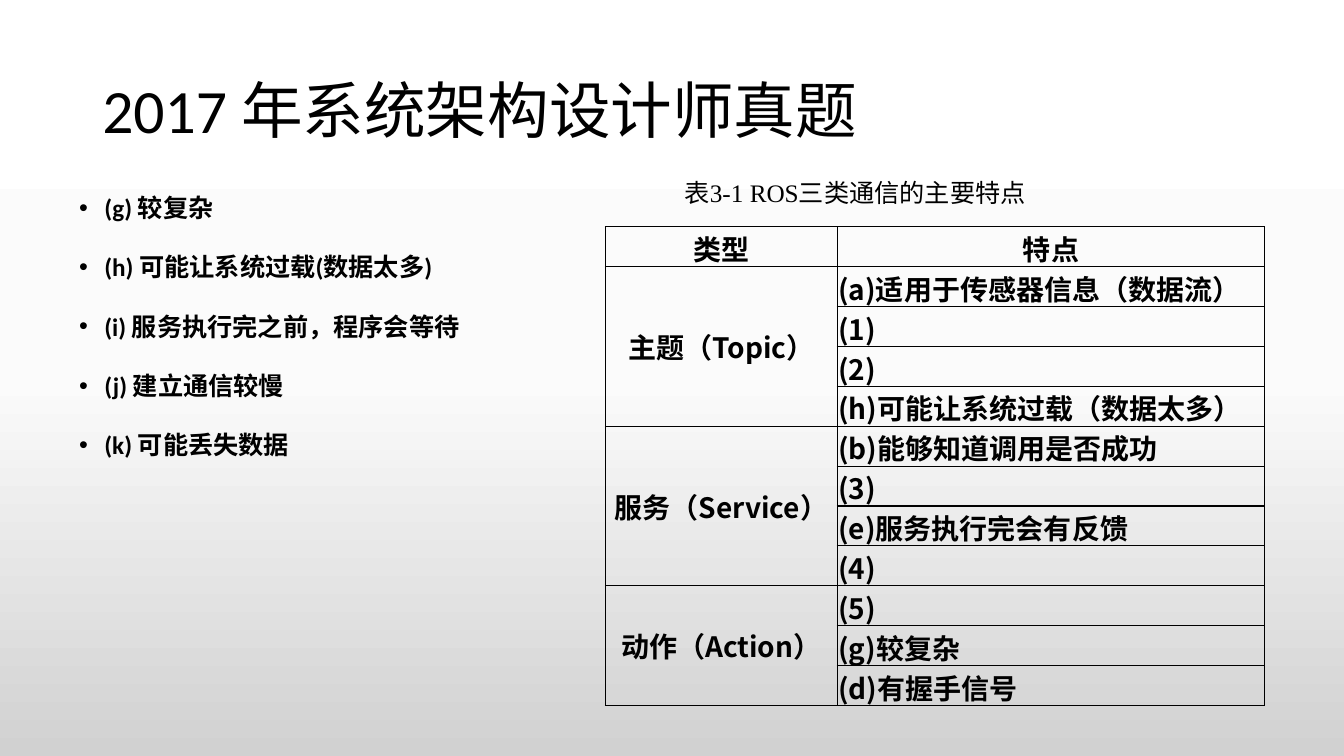
from dataclasses import dataclass

from lxml.etree import SubElement
from pptx import Presentation
from pptx.dml.color import RGBColor
from pptx.enum.text import MSO_ANCHOR as Anchor, PP_ALIGN as Align
from pptx.oxml.ns import qn
from pptx.util import Pt

BLACK = "000000"
CJK_FONT = "Noto Sans CJK SC"
CELL_MARGIN = Pt(0.75)
ROW_HEIGHT = Pt(28.5)
COLUMN_WIDTHS = (Pt(165.5), Pt(305.5))
BACKGROUND_STOPS = ((0, "FFFFFF"), (50, "FBFBFB"), (100, "D1D1D1"))


@dataclass(frozen=True)
class TextStyle:
    font: str
    size: float
    bold: bool = False
    line_spacing: float = 1.0
    space_before: float = 0
    indent: float = 0
    bullet: bool = False
    align: Align = Align.LEFT


@dataclass(frozen=True)
class TextBox:
    left: float
    top: float
    width: float
    height: float
    lines: tuple[str, ...]
    style: TextStyle
    anchor: Anchor = Anchor.TOP


@dataclass(frozen=True)
class Communication:
    name: str
    features: tuple[str, ...]


TEXT_BOXES = (
    TextBox(66, 28.75, 828, 104.4, ("2017 年系统架构设计师真题",),
            TextStyle("Calibri", 44, line_spacing=0.9), Anchor.MIDDLE),
    TextBox(49.5, 123, 862.5, 302.4,
            ("(g) 较复杂", "(h) 可能让系统过载(数据太多)",
             "(i) 服务执行完之前，程序会等待", "(j) 建立通信较慢", "(k) 可能丢失数据"),
            TextStyle("Calibri", 18, bold=True, line_spacing=1.5,
                      space_before=10, indent=18, bullet=True)),
    TextBox(461, 123, 400, 29, ("表3-1 ROS三类通信的主要特点",),
            TextStyle("Times New Roman", 18, indent=21)),
)
COMMUNICATIONS = (
    Communication("主题（Topic）", ("(a)适用于传感器信息（数据流）", "(1)", "(2)",
                                 "(h)可能让系统过载（数据太多）")),
    Communication("服务（Service）", ("(b)能够知道调用是否成功", "(3)",
                                   "(e)服务执行完会有反馈", "(4)")),
    Communication("动作（Action）", ("(5)", "(g)较复杂", "(d)有握手信号")),
)
CELL_STYLE = TextStyle(CJK_FONT, 20, bold=True)
CENTERED_CELL_STYLE = TextStyle(CJK_FONT, 20, bold=True, align=Align.CENTER)


def color(value: str) -> RGBColor:
    return RGBColor.from_string(value)


def write_paragraph(paragraph, text: str, style: TextStyle) -> None:
    paragraph.text = text
    paragraph.alignment = style.align
    paragraph.line_spacing = style.line_spacing
    paragraph.space_before = Pt(style.space_before)
    font = paragraph.font
    font.name, font.size, font.bold = style.font, Pt(style.size), style.bold
    font.color.rgb = color(BLACK)
    properties = paragraph._p.get_or_add_pPr()
    defaults = properties.find(qn("a:defRPr"))
    east_asian = SubElement(defaults, qn("a:ea"), typeface=CJK_FONT)
    defaults.find(qn("a:latin")).addnext(east_asian)
    properties.set("marL", str(Pt(style.indent) if style.bullet else 0))
    properties.set("indent", str(Pt(-style.indent if style.bullet else style.indent)))
    if style.bullet:
        defaults.addprevious(SubElement(properties, qn("a:buFont"), typeface="Arial"))
        defaults.addprevious(SubElement(properties, qn("a:buChar"), char="•"))


def add_text_box(slide, box: TextBox) -> None:
    shape = slide.shapes.add_textbox(Pt(box.left), Pt(box.top), Pt(box.width), Pt(box.height))
    frame = shape.text_frame
    frame.word_wrap = True
    frame.vertical_anchor = box.anchor
    for index, line in enumerate(box.lines):
        paragraph = frame.add_paragraph() if index else frame.paragraphs[0]
        write_paragraph(paragraph, line, box.style)


def format_cell(cell) -> None:
    cell.margin_left = cell.margin_right = CELL_MARGIN
    cell.margin_top = cell.margin_bottom = CELL_MARGIN
    properties = cell._tc.get_or_add_tcPr()
    for side in ("lnL", "lnR", "lnT", "lnB"):
        line = SubElement(properties, qn(f"a:{side}"), w=str(Pt(1)))
        fill = SubElement(line, qn("a:solidFill"))
        SubElement(fill, qn("a:srgbClr"), val=BLACK)
    cell.fill.background()


def write_cell(cell, text: str, style: TextStyle, anchor: Anchor = Anchor.TOP) -> None:
    cell.vertical_anchor = anchor
    write_paragraph(cell.text_frame.paragraphs[0], text, style)


def add_communication_table(slide) -> None:
    row_count = 1 + sum(len(item.features) for item in COMMUNICATIONS)
    table = slide.shapes.add_table(row_count, 2, Pt(432.5), Pt(162), sum(COLUMN_WIDTHS),
                                   ROW_HEIGHT * row_count).table
    table.first_row = table.horz_banding = False
    for column, width in zip(table.columns, COLUMN_WIDTHS):
        column.width = width
    for cell in table.iter_cells():
        format_cell(cell)
    for column, heading in enumerate(("类型", "特点")):
        write_cell(table.cell(0, column), heading, CENTERED_CELL_STYLE, Anchor.MIDDLE)
    row = 1
    for item in COMMUNICATIONS:
        name_cell = table.cell(row, 0)
        name_cell.merge(table.cell(row + len(item.features) - 1, 0))
        write_cell(name_cell, item.name, CENTERED_CELL_STYLE, Anchor.MIDDLE)
        for feature in item.features:
            write_cell(table.cell(row, 1), feature, CELL_STYLE)
            row += 1


def set_background(slide) -> None:
    fill = slide.background.fill
    fill.gradient()
    fill.gradient_angle = 270
    stops = slide.element.xpath(".//p:bg//a:gsLst")[0]
    for stop in list(stops):
        stops.remove(stop)
    for position, value in BACKGROUND_STOPS:
        stop = SubElement(stops, qn("a:gs"), pos=str(position * 1000))
        SubElement(stop, qn("a:srgbClr"), val=value)


presentation = Presentation()
presentation.slide_width, presentation.slide_height = Pt(960), Pt(540)
slide = presentation.slides.add_slide(presentation.slide_layouts[6])
set_background(slide)
for text_box in TEXT_BOXES:
    add_text_box(slide, text_box)
add_communication_table(slide)
presentation.save("out.pptx")
